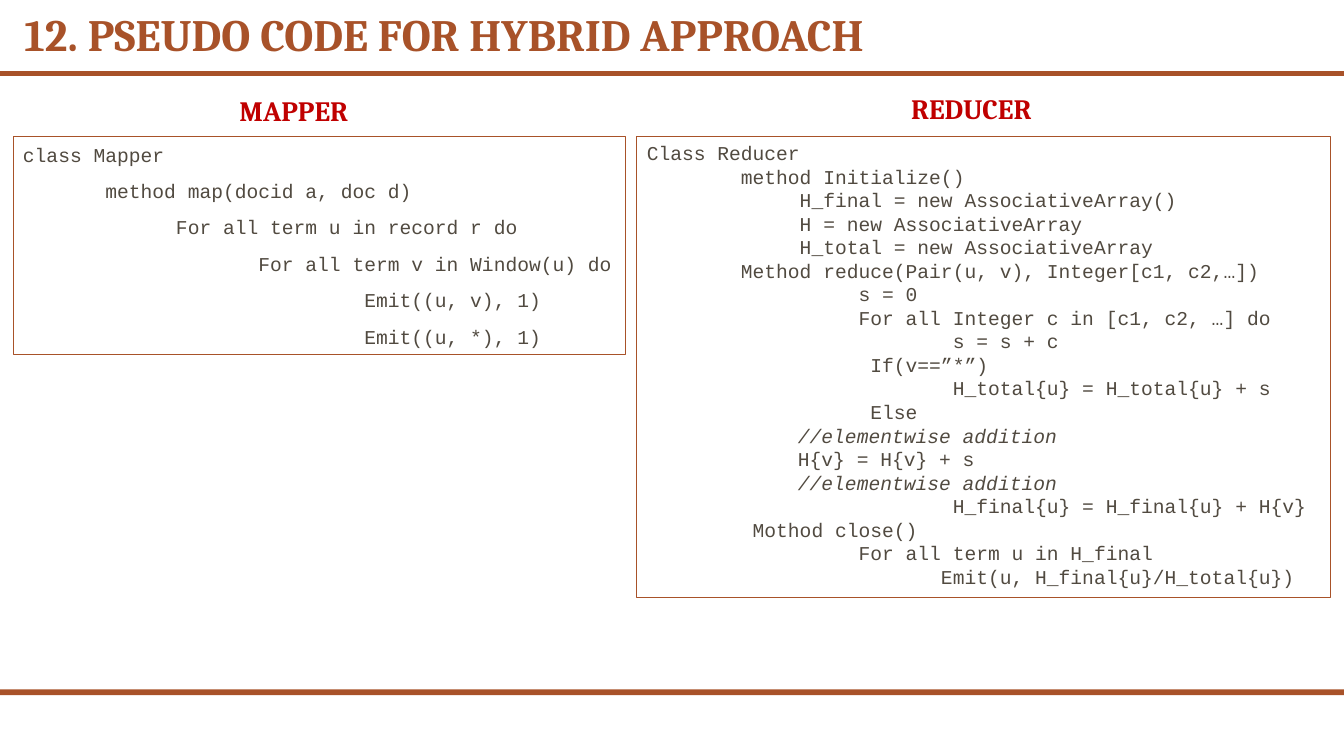
from dataclasses import dataclass

import lxml.etree
import pptx
import pptx.dml.color
import pptx.enum.shapes
import pptx.enum.text
import pptx.oxml.ns
import pptx.presentation
import pptx.shapes.base
import pptx.slide
import pptx.text.text
import pptx.util
from pptx.util import Cm

RGB = pptx.dml.color.RGBColor


@dataclass(frozen=True)
class Theme:
    accent: RGB = RGB(0xA8, 0x52, 0x29)
    heading: RGB = RGB(0xC0, 0x00, 0x00)
    code: RGB = RGB(0x51, 0x4A, 0x40)
    heading_font: str = "Cambria"
    code_font: str = "Courier New"
    title_size: int = 32
    heading_size: int = 20
    code_size: int = 14


@dataclass(frozen=True)
class Box:
    left: float
    top: float
    width: float
    height: float


@dataclass(frozen=True)
class CodePanel:
    heading: str
    heading_box: Box
    code_box: Box
    code: str
    line_spacing: float
    space_after: int


THEME = Theme()
SLIDE_WIDTH = Cm(33.87)
SLIDE_HEIGHT = Cm(19.05)

MAPPER_CODE = """class Mapper
       method map(docid a, doc d)
             For all term u in record r do
                    For all term v in Window(u) do
                             Emit((u, v), 1)
                             Emit((u, *), 1)"""

REDUCER_CODE = """Class Reducer
        method Initialize()
             H_final = new AssociativeArray()
             H = new AssociativeArray
             H_total = new AssociativeArray
        Method reduce(Pair(u, v), Integer[c1, c2,…])
                  s = 0
                  For all Integer c in [c1, c2, …] do
                          s = s + c
                   If(v==”*”)
                          H_total{u} = H_total{u} + s
                   Else
\t\t\t//elementwise addition
\t\t\tH{v} = H{v} + s
\t\t\t//elementwise addition
                          H_final{u} = H_final{u} + H{v}
         Mothod close()
                  For all term u in H_final
                         Emit(u, H_final{u}/H_total{u})"""

PANELS = [
    CodePanel("MAPPER", Box(-0.81, 2.24, 16.43, 1.12), Box(0.33, 3.43, 15.44, 5.51),
              MAPPER_CODE, 1.07, 8),
    CodePanel("REDUCER", Box(16.43, 2.18, 16.1, 1.12), Box(16.05, 3.43, 17.48, 11.63),
              REDUCER_CODE, 1.0, 0),
]


def place(shape: pptx.shapes.base.BaseShape, box: Box) -> None:
    shape.left, shape.top = Cm(box.left), Cm(box.top)
    shape.width, shape.height = Cm(box.width), Cm(box.height)


def style_font(font: pptx.text.text.Font, name: str, size: int, color: RGB, bold: bool) -> None:
    font.name = name
    font.size = pptx.util.Pt(size)
    font.bold = bold
    font.color.rgb = color


def add_text_frame(slide: pptx.slide.Slide, box: Box) -> pptx.shapes.base.BaseShape:
    shape = slide.shapes.add_textbox(Cm(box.left), Cm(box.top), Cm(box.width), Cm(box.height))
    shape.text_frame.word_wrap = True
    shape.text_frame.auto_size = pptx.enum.text.MSO_AUTO_SIZE.SHAPE_TO_FIT_TEXT
    return shape


def add_rules(slide: pptx.slide.Slide) -> None:
    footer_bar = slide.shapes.add_shape(
        pptx.enum.shapes.MSO_SHAPE.RECTANGLE, 0, Cm(17.37), SLIDE_WIDTH, Cm(0.15))
    footer_bar.shadow.inherit = False
    footer_bar.fill.solid()
    footer_bar.fill.fore_color.rgb = THEME.accent
    footer_bar.line.fill.background()

    title_rule = slide.shapes.add_connector(
        pptx.enum.shapes.MSO_CONNECTOR.STRAIGHT, 0, Cm(1.85), SLIDE_WIDTH, Cm(1.85))
    title_rule.line.color.rgb = THEME.accent
    title_rule.line.width = pptx.util.Pt(3)
    lxml.etree.SubElement(title_rule._element.spPr, pptx.oxml.ns.qn("a:effectLst"))


def add_title(slide: pptx.slide.Slide, text: str) -> None:
    title = slide.shapes.title
    place(title, Box(0.36, 0.2, 33.02, 1.47))
    frame = title.text_frame
    frame.text = text
    frame.word_wrap = True
    frame.auto_size = pptx.enum.text.MSO_AUTO_SIZE.NONE
    frame.vertical_anchor = pptx.enum.text.MSO_ANCHOR.BOTTOM
    paragraph = frame.paragraphs[0]
    paragraph.alignment = pptx.enum.text.PP_ALIGN.LEFT
    paragraph.line_spacing = 0.9
    style_font(paragraph.font, THEME.heading_font, THEME.title_size, THEME.accent, True)


def add_panel(slide: pptx.slide.Slide, panel: CodePanel) -> None:
    code_shape = add_text_frame(slide, panel.code_box)
    code_shape.line.color.rgb = THEME.accent
    code_shape.line.width = pptx.util.Pt(0.75)
    code_shape.text_frame.text = panel.code
    for paragraph in code_shape.text_frame.paragraphs:
        paragraph.line_spacing = panel.line_spacing
        paragraph.space_after = pptx.util.Pt(panel.space_after)
        style_font(paragraph.font, THEME.code_font, THEME.code_size, THEME.code, False)
        paragraph.font.italic = paragraph.text.strip().startswith("//")

    heading_shape = add_text_frame(slide, panel.heading_box)
    heading_shape.text_frame.text = panel.heading
    paragraph = heading_shape.text_frame.paragraphs[0]
    paragraph.alignment = pptx.enum.text.PP_ALIGN.CENTER
    style_font(paragraph.font, THEME.heading_font, THEME.heading_size, THEME.heading, True)


def main() -> None:
    presentation = pptx.Presentation()
    presentation.slide_width = SLIDE_WIDTH
    presentation.slide_height = SLIDE_HEIGHT
    slide = presentation.slides.add_slide(presentation.slide_layouts.get_by_name("Title Only"))
    add_rules(slide)
    add_title(slide, "12. PSEUDO CODE FOR HYBRID APPROACH")
    for panel in PANELS:
        add_panel(slide, panel)
    presentation.save("out.pptx")


if __name__ == "__main__":
    main()
